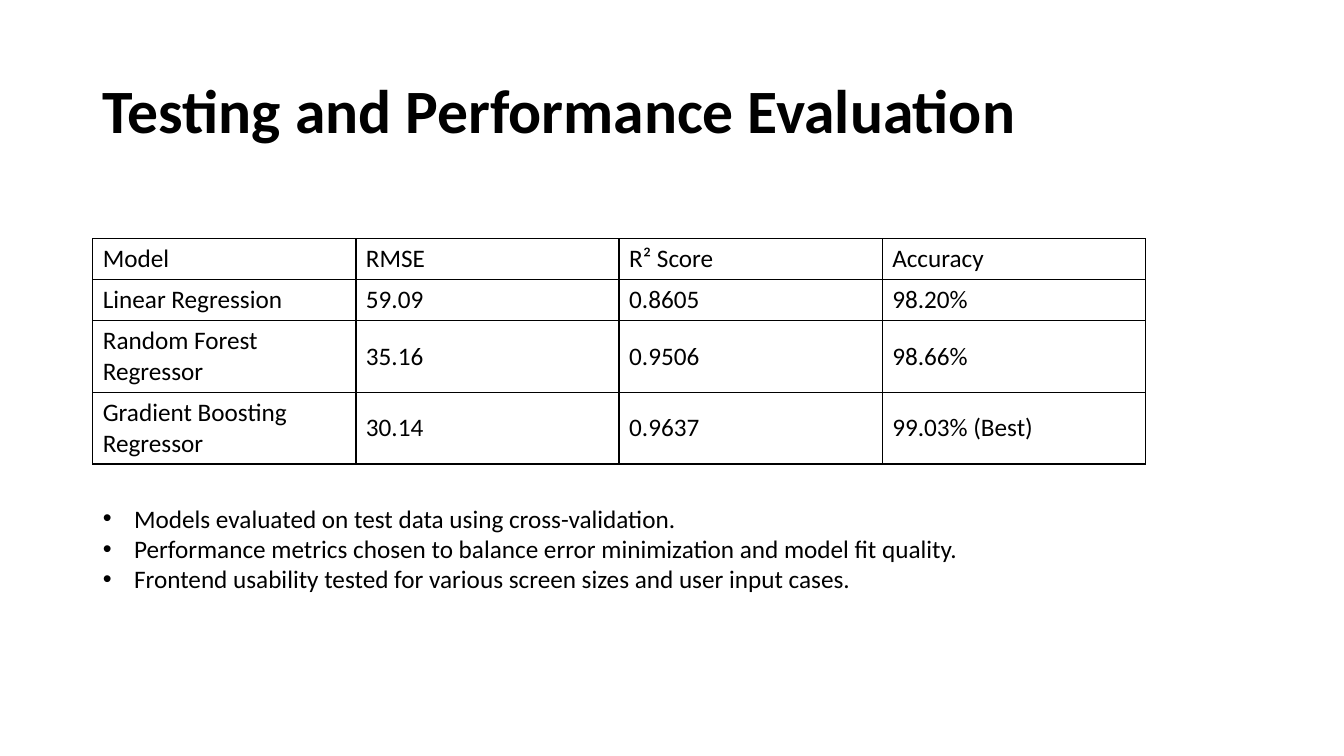
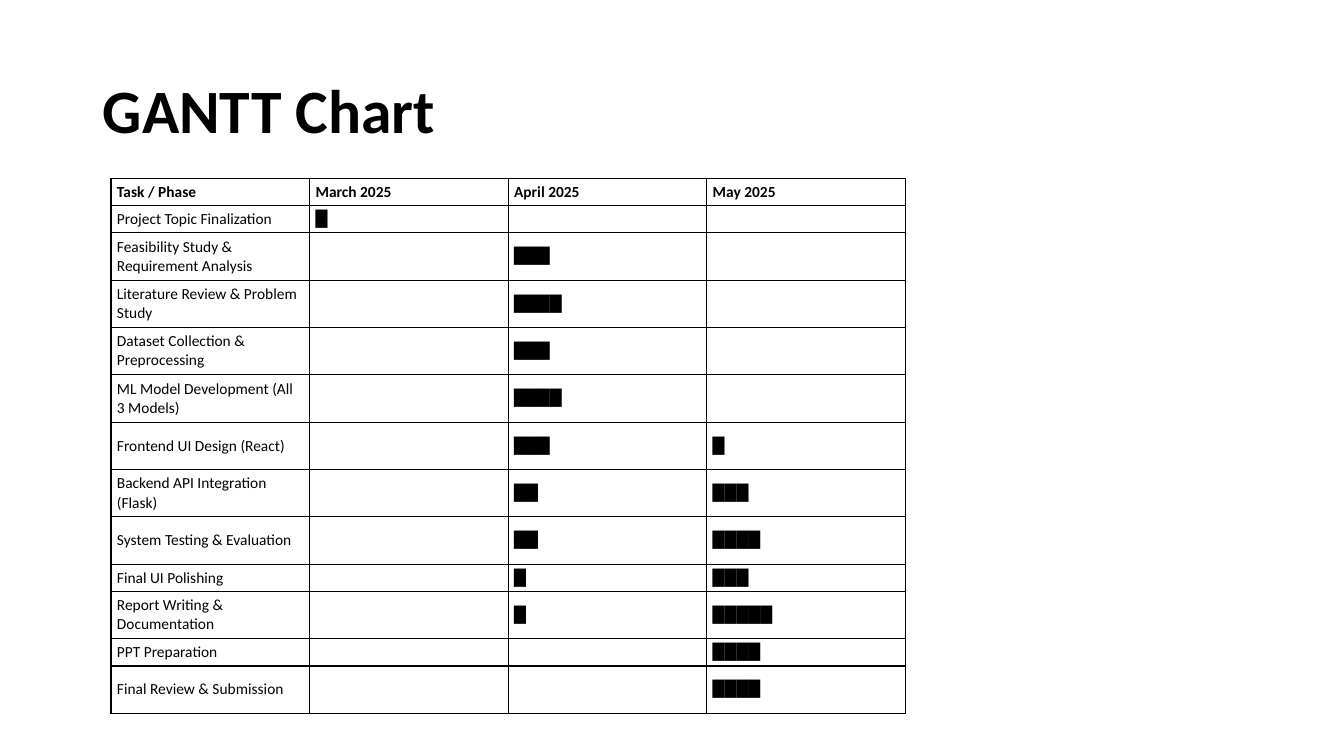
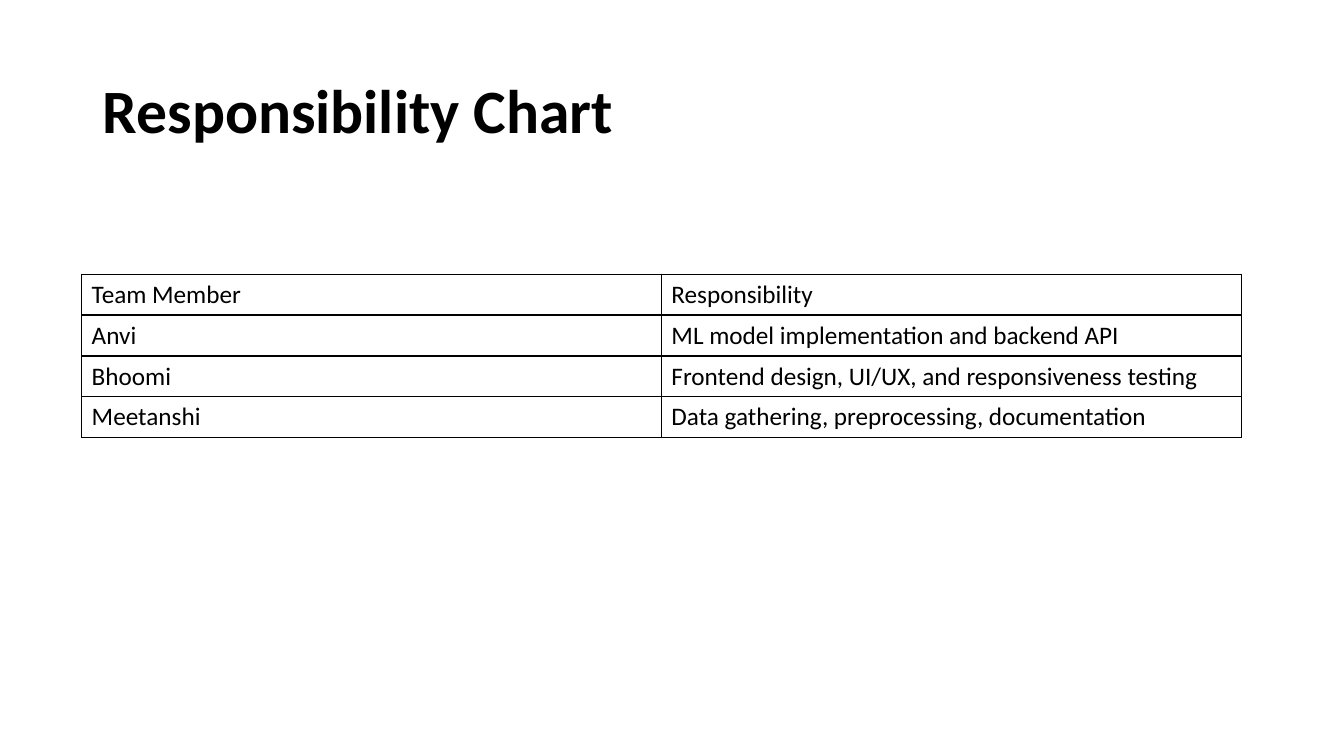
from lxml.etree import SubElement
from pptx import Presentation
from pptx.dml.color import RGBColor
from pptx.enum.text import MSO_ANCHOR, MSO_AUTO_SIZE, PP_ALIGN
from pptx.oxml import parse_xml
from pptx.oxml.ns import nsdecls, qn
from pptx.util import Emu, Pt

PX = 9144
COLORS = {"text": "000000", "border": "000000"}
FONT = "Calibri"
TITLE_ONLY, TITLE_AND_BODY = 5, 1
TITLE_BOX = (92, 40, 1150, 145)

MODELS = [
    ("Model", "RMSE", "R² Score", "Accuracy"),
    ("Linear Regression", "59.09", "0.8605", "98.20%"),
    ("Random Forest Regressor", "35.16", "0.9506", "98.66%"),
    ("Gradient Boosting Regressor", "30.14", "0.9637", "99.03% (Best)"),
]
FINDINGS = [
    "Models evaluated on test data using cross-validation.",
    "Performance metrics chosen to balance error minimization and model fit quality.",
    "Frontend usability tested for various screen sizes and user input cases.",
]
GANTT_HEAD = ("Task / Phase", "March 2025", "April 2025", "May 2025")
GANTT = [
    ("Project Topic Finalization", (1, 0, 0), 27),
    ("Feasibility Study & Requirement Analysis", (0, 3, 0), 47),
    ("Literature Review & Problem Study", (0, 4, 0), 47),
    ("Dataset Collection & Preprocessing", (0, 3, 0), 47),
    ("ML Model Development (All 3 Models)", (0, 4, 0), 47),
    ("Frontend UI Design (React)", (0, 3, 1), 47),
    ("Backend API Integration (Flask)", (0, 2, 3), 47),
    ("System Testing & Evaluation", (0, 2, 4), 47),
    ("Final UI Polishing", (0, 1, 3), 27),
    ("Report Writing & Documentation", (0, 1, 5), 47),
    ("PPT Preparation", (0, 0, 4), 27),
    ("Final Review & Submission", (0, 0, 4), 47),
]
TEAM = [
    ("Team Member", "Responsibility"),
    ("Anvi", "ML model implementation and backend API"),
    ("Bhoomi", "Frontend design, UI/UX, and responsiveness testing"),
    ("Meetanshi", "Data gathering, preprocessing, documentation"),
]


def px(n):
    """Turn px into EMU."""
    return Emu(n * PX)


def apply(obj, **values):
    """Set each given attribute on an object."""
    for name, value in values.items():
        setattr(obj, name, value)


def place(sp, box):
    """Move a shape to a box of left, top, width and height."""
    apply(sp, **dict(zip(("left", "top", "width", "height"), map(px, box))))


def write(p, text, size, bold=False):
    """Add a formatted run to a paragraph."""
    r = p.add_run()
    r.text = text
    apply(r.font, name=FONT, size=Pt(size), bold=bold)
    r.font.color.rgb = RGBColor.from_string(COLORS["text"])


def add_slide(prs, layout, title):
    """Add a slide with its formatted title."""
    s = prs.slides.add_slide(prs.slide_layouts[layout])
    sp = s.shapes.title
    place(sp, TITLE_BOX)
    tf = sp.text_frame
    apply(tf, vertical_anchor=MSO_ANCHOR.MIDDLE, auto_size=MSO_AUTO_SIZE.NONE)
    p = tf.paragraphs[0]
    apply(p, alignment=PP_ALIGN.LEFT, line_spacing=0.9)
    write(p, title, 44, True)
    return s


def add_bullets(s, box, items):
    """Fill the body placeholder with a bulleted list."""
    sp = s.placeholders[1]
    place(sp, box)
    tf = sp.text_frame
    tf.auto_size = MSO_AUTO_SIZE.NONE
    for i, item in enumerate(items):
        p = tf.paragraphs[0] if i == 0 else tf.add_paragraph()
        p.space_before = Pt(0)
        write(p, item, 18)
        pPr = p._p.get_or_add_pPr()
        pPr.set("marL", str(px(31)))
        pPr.set("indent", str(px(-31)))
        SubElement(pPr, qn("a:buFont")).set("typeface", "Arial")
        SubElement(pPr, qn("a:buChar")).set("char", "•")


def add_borders(cell):
    """Draw a thin line on all four sides of a cell."""
    tcPr = cell._tc.get_or_add_tcPr()
    for i, side in enumerate("LRTB"):
        tcPr.insert(i, parse_xml(
            f'<a:ln{side} {nsdecls("a")} w="12700"><a:solidFill>'
            f'<a:srgbClr val="{COLORS["border"]}"/></a:solidFill></a:ln{side}>'))


def add_grid(s, left, top, col_width, heights, rows, size=18, margins=(10, 5), bold_head=False):
    """Add a bordered table with equal columns."""
    cols = len(rows[0])
    table = s.shapes.add_table(len(rows), cols, px(left), px(top),
                               px(col_width * cols), px(sum(heights))).table
    apply(table, first_row=False, horz_banding=False)
    for col in table.columns:
        col.width = px(col_width)
    x, y = map(px, margins)
    for i, (row, height) in enumerate(zip(rows, heights)):
        table.rows[i].height = px(height)
        for j, text in enumerate(row):
            cell = table.cell(i, j)
            apply(cell, vertical_anchor=MSO_ANCHOR.MIDDLE, margin_left=x,
                  margin_right=x, margin_top=y, margin_bottom=y)
            cell.fill.background()
            add_borders(cell)
            p = cell.text_frame.paragraphs[0]
            if text:
                write(p, text, size, bold_head and i == 0)
            else:
                SubElement(p._p, qn("a:endParaRPr")).set("sz", str(size * 100))


def main():
    """Build the three slides and save them."""
    prs = Presentation()
    apply(prs, slide_width=px(1333), slide_height=px(750))

    s = add_slide(prs, TITLE_AND_BODY, "Testing and Performance Evaluation")
    add_grid(s, 92, 237, 261, (40, 40, 71, 71), MODELS)
    add_bullets(s, (92, 494, 1044, 131), FINDINGS)

    s = add_slide(prs, TITLE_ONLY, "GANTT Chart")
    rows = [GANTT_HEAD] + [(task, *("█" * n for n in bars)) for task, bars, _ in GANTT]
    heights = [27] + [height for _, _, height in GANTT]
    add_grid(s, 110, 177, 197, heights, rows, size=11, margins=(6, 3), bold_head=True)

    s = add_slide(prs, TITLE_ONLY, "Responsibility Chart")
    add_grid(s, 81, 272, 575, [40] * len(TEAM), TEAM)

    prs.save("out.pptx")


if __name__ == "__main__":
    main()
